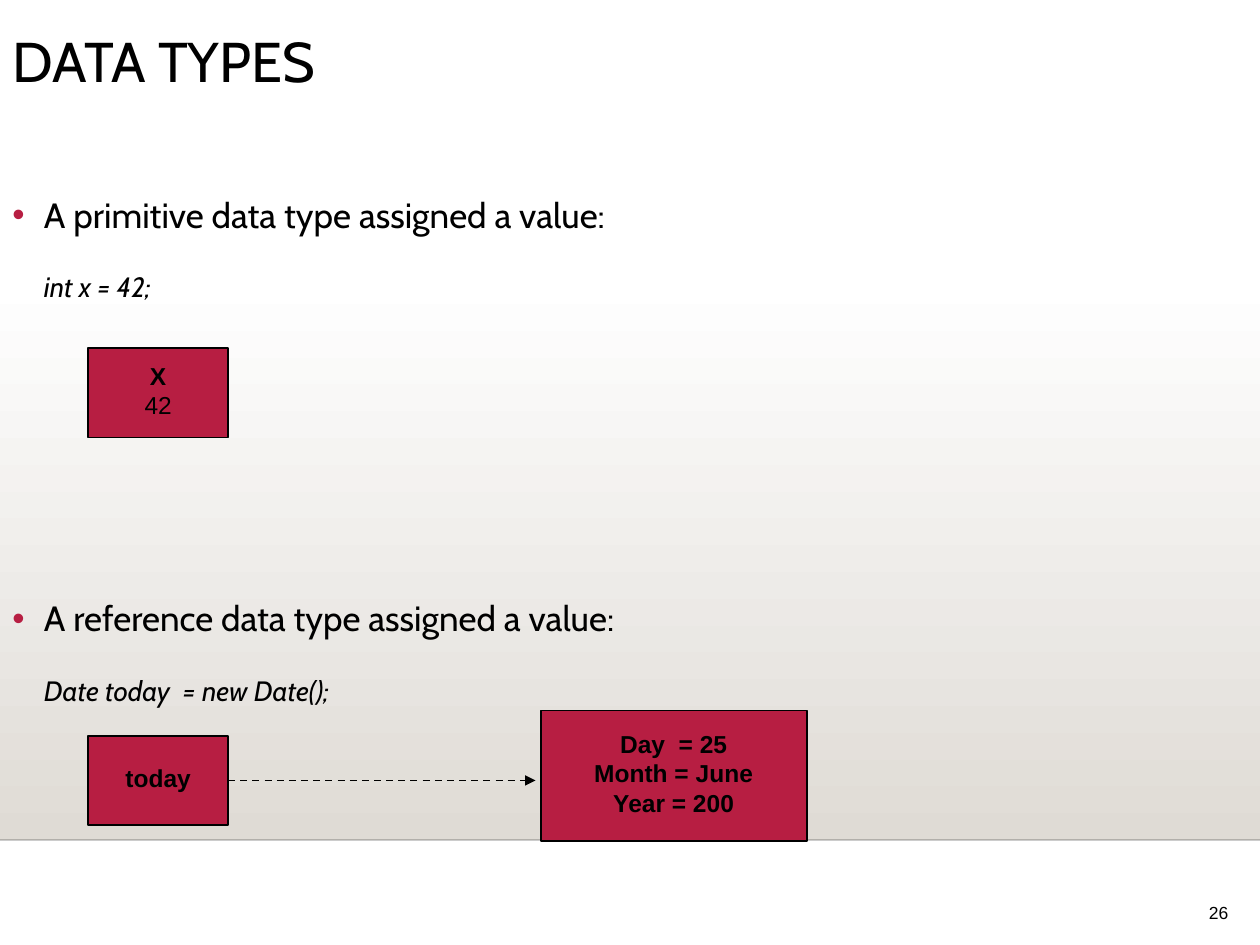
from dataclasses import dataclass

import pptx
import pptx.dml.color
import pptx.enum.dml
import pptx.enum.shapes
import pptx.enum.text
import pptx.oxml
import pptx.oxml.ns
import pptx.util

Pt = pptx.util.Pt
RGBColor = pptx.dml.color.RGBColor
ALIGN = pptx.enum.text.PP_ALIGN
ANCHOR = pptx.enum.text.MSO_ANCHOR
RECT = pptx.enum.shapes.MSO_SHAPE.RECTANGLE

BLACK = RGBColor(0x00, 0x00, 0x00)
WHITE = RGBColor(0xFF, 0xFF, 0xFF)
CRIMSON = RGBColor(0xB7, 0x1E, 0x42)
STONE = RGBColor(0xDF, 0xDB, 0xD5)

WIDTH, HEIGHT = 720, 540
FLOOR_Y = 480


@dataclass
class Box:
    left: float
    top: float
    width: float
    height: float
    lines: list[str]
    bold_lines: int


@dataclass
class Example:
    heading: str
    code: str
    space_before: float


BOXES = [
    Box(50.4, 199, 80, 51, ["X", "42"], 1),
    Box(50.4, 420.5, 80, 51, ["today"], 1),
    Box(309, 406, 152, 74.5, ["Day  = 25", "Month = June", "Year = 200"], 3),
]

EXAMPLES = [
    Example("A primitive data type assigned a value:", "int x = 42;", 0),
    Example("A reference data type assigned a value:", "Date today  = new Date();", 163),
]


def add_xml(parent, tag: str, **attributes: str):
    child = pptx.oxml.parse_xml(f"<a:{tag} {pptx.oxml.ns.nsdecls('a')}/>")
    for name, value in attributes.items():
        child.set(name, value)
    parent.append(child)
    return child


def format_text(p, font_name: str, size: float, bold: bool = False, italic: bool = False) -> None:
    for r in p.runs:
        r.font.name = font_name
        r.font.size = Pt(size)
        r.font.bold = bold
        r.font.italic = italic
        r.font.color.rgb = BLACK


def add_line(s, x1: float, x2: float, y: float):
    line = s.shapes.add_connector(
        pptx.enum.shapes.MSO_CONNECTOR.STRAIGHT, Pt(x1), Pt(y), Pt(x2), Pt(y)
    )
    line.line.color.rgb = BLACK
    line.line.width = Pt(1)
    add_xml(line._element.spPr, "effectLst")
    return line


def add_background(s) -> None:
    top = 158.5
    sp = s.shapes.add_shape(RECT, 0, Pt(top), Pt(WIDTH), Pt(FLOOR_Y - top))
    sp.shadow.inherit = False
    sp.line.fill.background()
    sp.fill.gradient()
    sp.fill.gradient_angle = 270
    for stop, color in zip(sp.fill.gradient_stops, (WHITE, STONE)):
        stop.color.rgb = color
    floor = add_line(s, 0, WIDTH, FLOOR_Y)
    color = floor.line._ln.find(".//" + pptx.oxml.ns.qn("a:srgbClr"))
    add_xml(color, "alpha", val="20000")


def add_title(s) -> None:
    sp = s.shapes.title
    sp.left, sp.top, sp.width, sp.height = Pt(0), Pt(16), Pt(642), Pt(72)
    tf = sp.text_frame
    tf.text = "DATA TYPES"
    tf.vertical_anchor = ANCHOR.TOP
    p = tf.paragraphs[0]
    p.alignment = ALIGN.LEFT
    p.line_spacing = 0.9
    format_text(p, "Cabin", 32)


def add_examples(s, examples: list[Example]) -> None:
    tf = s.shapes.add_textbox(0, Pt(102), Pt(666), Pt(420)).text_frame
    tf.word_wrap = True
    for i, example in enumerate(examples):
        heading = tf.add_paragraph() if i else tf.paragraphs[0]
        code = tf.add_paragraph()
        heading.text = example.heading
        code.text = example.code
        for p, indent in ((heading, -18), (code, 0)):
            p.line_spacing = 1.2
            pPr = p._p.get_or_add_pPr()
            pPr.set("marL", str(Pt(18)))
            pPr.set("indent", str(Pt(indent)))
        heading.space_before = Pt(example.space_before)
        code.space_before = Pt(16)
        pPr = heading._p.get_or_add_pPr()
        add_xml(add_xml(pPr, "buClr"), "srgbClr", val=str(CRIMSON))
        add_xml(pPr, "buFont", typeface="Arial")
        add_xml(pPr, "buChar", char="•")
        format_text(heading, "Cabin", 20)
        format_text(code, "Cabin", 16, italic=True)


def add_box(s, box: Box):
    sp = s.shapes.add_shape(RECT, Pt(box.left), Pt(box.top), Pt(box.width), Pt(box.height))
    sp.shadow.inherit = False
    sp.fill.solid()
    sp.fill.fore_color.rgb = CRIMSON
    sp.line.color.rgb = BLACK
    sp.line.width = Pt(1)
    tf = sp.text_frame
    tf.text = "\n".join(box.lines)
    tf.word_wrap = False
    tf.vertical_anchor = ANCHOR.MIDDLE
    for i, p in enumerate(tf.paragraphs):
        p.alignment = ALIGN.CENTER
        p.line_spacing = 0.8
        p.space_before = Pt(3.5 if i else 0)
        format_text(p, "Arial", 14, bold=i < box.bold_lines)
    return sp


def add_reference_arrow(s, source, target) -> None:
    y = (source.top + source.height / 2) / Pt(1)
    arrow = add_line(s, (source.left + source.width) / Pt(1), target.left / Pt(1) - 3, y)
    arrow.begin_connect(source, 3)
    arrow.line.dash_style = pptx.enum.dml.MSO_LINE.DASH
    add_xml(arrow.line._ln, "tailEnd", type="triangle")


def add_slide_number(s, number: str) -> None:
    tf = s.shapes.add_textbox(Pt(576), Pt(510), Pt(133), Pt(21)).text_frame
    tf.text = number
    tf.word_wrap = True
    tf.vertical_anchor = ANCHOR.BOTTOM
    p = tf.paragraphs[0]
    p.alignment = ALIGN.RIGHT
    p.line_spacing = 0.8
    format_text(p, "Arial", 10)


def main() -> None:
    prs = pptx.Presentation()
    prs.slide_width, prs.slide_height = Pt(WIDTH), Pt(HEIGHT)
    s = prs.slides.add_slide(prs.slide_layouts[5])
    add_background(s)
    add_slide_number(s, "26")
    add_title(s)
    add_examples(s, EXAMPLES)
    value, reference, date = [add_box(s, box) for box in BOXES]
    add_reference_arrow(s, reference, date)
    prs.save("out.pptx")


if __name__ == "__main__":
    main()
